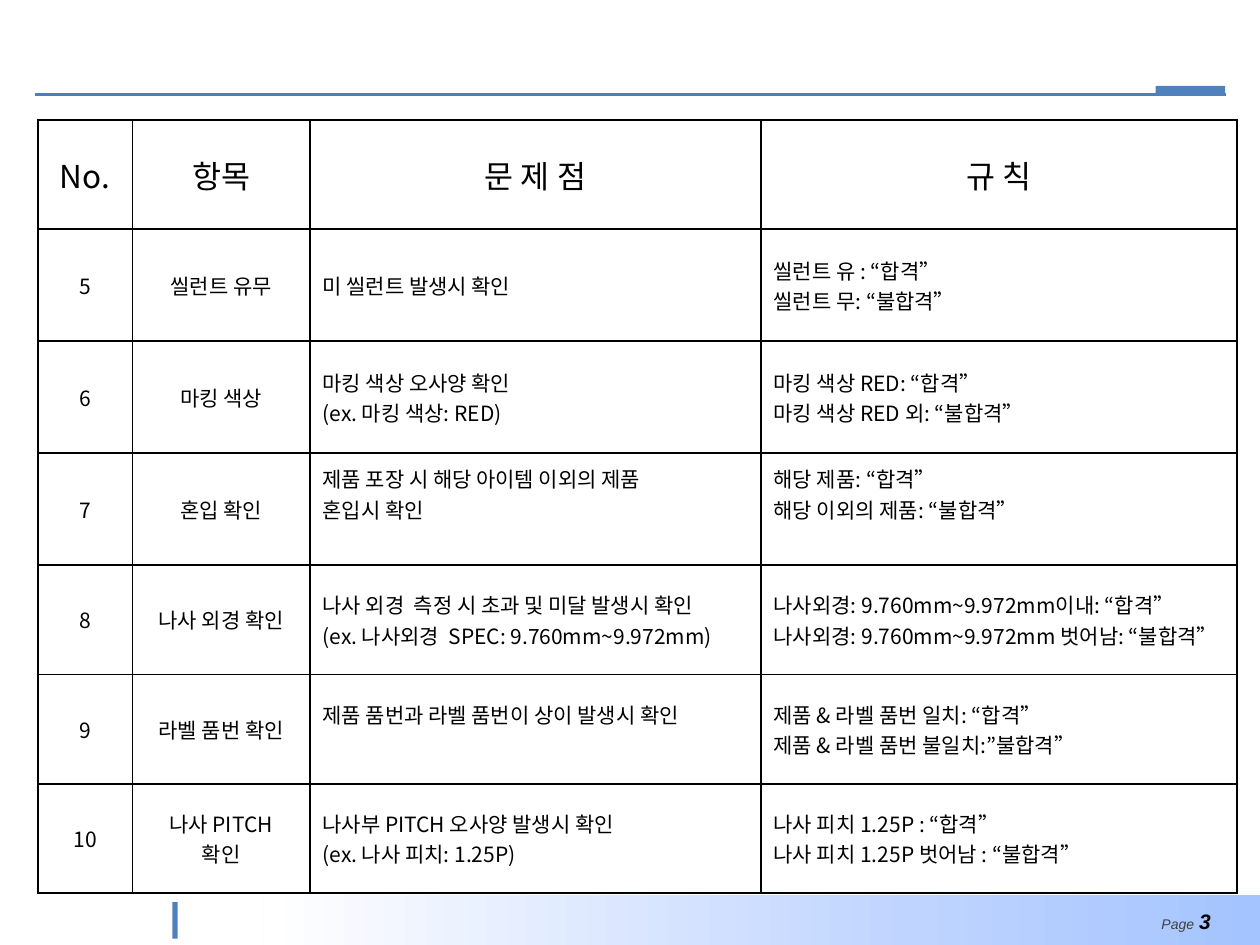
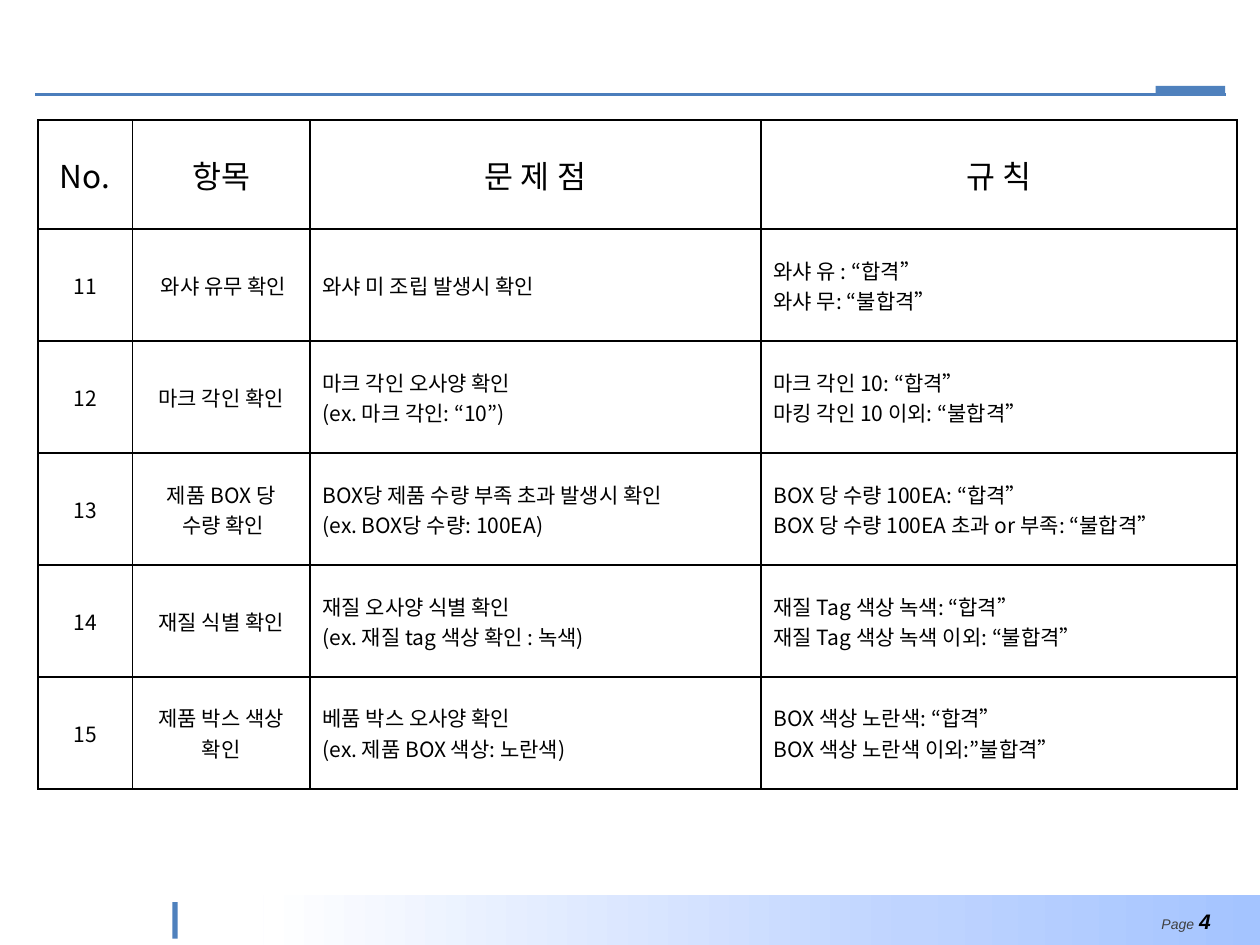
"""Build two pages of an inspection rule table with a shared frame."""
from copy import deepcopy

from lxml import etree
from pptx import Presentation
from pptx.dml.color import RGBColor
from pptx.enum.shapes import MSO_CONNECTOR, MSO_SHAPE
from pptx.enum.text import MSO_ANCHOR, PP_ALIGN
from pptx.oxml.ns import qn
from pptx.util import Pt

RECTANGLE, STRAIGHT = MSO_SHAPE.RECTANGLE, MSO_CONNECTOR.STRAIGHT
MIDDLE = MSO_ANCHOR.MIDDLE
LEFT, CENTER, RIGHT = PP_ALIGN.LEFT, PP_ALIGN.CENTER, PP_ALIGN.RIGHT

COLORS = {
    "accent": "4F81BD", "rule": "4B7EBC", "ink": "000000", "label": "404040",
    "band_dark": "A4C4FF", "band_mid": "BFD4FF", "band_light": "FFFFFF",
}
BAND_STOPS = [(0, "band_dark"), (0.35, "band_mid"), (1, "band_light")]
TABLE_FONT, FOOTER_FONT = "Noto Sans CJK KR", "Arial"

HEADER = ("No.", "항목", "문 제 점", "규 칙")
COLUMN_WIDTHS = (54, 101.5, 257.8, 272.1)
COLUMN_ALIGNS = (CENTER, CENTER, LEFT, LEFT)
TABLE_LEFT, TABLE_TOP = 21.6, 68.5
SHORT_ROW, TALL_ROW = 62.5, 64
LINE_HEIGHT = 17.4

PAGES = [
    {
        "number": 3,
        "row_heights": [SHORT_ROW] + [TALL_ROW] * 3 + [SHORT_ROW] * 3,
        "raised_cells": {(3, 2), (3, 3), (5, 2)},
        "checks": [
            ("5", "씰런트 유무", "미 씰런트 발생시 확인",
             "씰런트 유 : “합격”\n씰런트 무: “불합격”"),
            ("6", "마킹 색상", "마킹 색상 오사양 확인\v(ex. 마킹 색상: RED)",
             "마킹 색상 RED: “합격”\n마킹 색상 RED 외: “불합격”"),
            ("7", "혼입 확인", "제품 포장 시 해당 아이템 이외의 제품\n혼입시 확인",
             "해당 제품: “합격”\n해당 이외의 제품: “불합격”"),
            ("8", "나사 외경 확인",
             "나사 외경  측정 시 초과 및 미달 발생시 확인\n"
             "(ex. 나사외경  SPEC: 9.760mm~9.972mm)",
             "나사외경: 9.760mm~9.972mm이내: “합격”\n"
             "나사외경: 9.760mm~9.972mm 벗어남: “불합격”"),
            ("9", "라벨 품번 확인", "제품 품번과 라벨 품번이 상이 발생시 확인",
             "제품 & 라벨 품번 일치: “합격”\n제품 & 라벨 품번 불일치:”불합격”"),
            ("10", "나사 PITCH\n확인",
             "나사부 PITCH 오사양 발생시 확인\n(ex. 나사 피치: 1.25P)",
             "나사 피치 1.25P : “합격”\n나사 피치 1.25P 벗어남 : “불합격”"),
        ],
    },
    {
        "number": 4,
        "row_heights": [SHORT_ROW] + [TALL_ROW] * 5,
        "raised_cells": set(),
        "checks": [
            ("11", " 와샤 유무 확인", "와샤 미 조립 발생시 확인",
             "와샤 유 : “합격”\n와샤 무: “불합격”"),
            ("12", "마크 각인 확인", "마크 각인 오사양 확인\v(ex. 마크 각인: “10”)",
             "마크 각인 10: “합격”\n마킹 각인 10 이외: “불합격”"),
            ("13", "제품 BOX 당\n 수량 확인",
             "BOX당 제품 수량 부족 초과 발생시 확인\n(ex. BOX당 수량: 100EA)",
             "BOX 당 수량 100EA: “합격”\n"
             "BOX 당 수량 100EA 초과 or 부족: “불합격”"),
            ("14", "재질 식별 확인",
             "재질 오사양 식별 확인\n(ex. 재질 tag 색상 확인 : 녹색)",
             "재질 Tag 색상 녹색: “합격”\n재질 Tag 색상 녹색 이외: “불합격”"),
            ("15", "제품 박스 색상\n확인",
             "베품 박스 오사양 확인\n(ex. 제품 BOX 색상: 노란색)",
             "BOX 색상 노란색: “합격”\nBOX 색상 노란색 이외:”불합격”"),
        ],
    },
]


def rgb(name):
    return RGBColor.from_string(COLORS[name])


def add_bar(slide, left, top, width, height):
    bar = slide.shapes.add_shape(RECTANGLE, Pt(left), Pt(top), Pt(width), Pt(height))
    bar.shadow.inherit = False
    bar.line.fill.background()
    bar.fill.solid()
    bar.fill.fore_color.rgb = rgb("accent")
    return bar


def add_footer_band(slide):
    band = add_bar(slide, 150.5, 511.6, 569.5, 28.4)
    band.fill.gradient()
    band.fill.gradient_angle = 180
    stop_list = band._element.spPr.find(".//" + qn("a:gsLst"))
    stop_list.insert(1, deepcopy(stop_list[0]))
    for stop, (position, color) in zip(band.fill.gradient_stops, BAND_STOPS):
        stop.position = position
        stop.color.rgb = rgb(color)


def add_page_number(slide, number):
    box = slide.shapes.add_textbox(Pt(626.4), Pt(514.8), Pt(73.4), Pt(23))
    frame = box.text_frame
    frame.word_wrap = True
    frame.vertical_anchor = MIDDLE
    frame.margin_left = frame.margin_right = Pt(7.9)
    frame.margin_top = frame.margin_bottom = Pt(4.3)
    paragraph = frame.paragraphs[0]
    paragraph.alignment = RIGHT
    parts = [("Page", 8, "label", False), (" ", 10, "label", False),
             (str(number), 12, "ink", True)]
    for text, size, color, bold in parts:
        run = paragraph.add_run()
        run.text = text
        run.font.name = FOOTER_FONT
        run.font.size = Pt(size)
        run.font.color.rgb = rgb(color)
        run.font.bold = bold
        run.font.italic = True


def add_frame(slide, number):
    add_footer_band(slide)
    add_bar(slide, 98.6, 515.5, 3, 20.9)
    rule = slide.shapes.add_connector(STRAIGHT, Pt(20.2), Pt(54), Pt(700.3), Pt(54))
    rule.line.color.rgb = rgb("rule")
    rule.line.width = Pt(2.25)
    etree.SubElement(rule._element.spPr, qn("a:effectLst"))
    add_bar(slide, 660.4, 49, 39.8, 5.8)
    add_page_number(slide, number)


def add_borders(cell):
    properties = cell._tc.get_or_add_tcPr()
    for index, side in enumerate(("lnL", "lnR", "lnT", "lnB")):
        border = etree.Element(qn("a:" + side), w=str(Pt(1)))
        fill = etree.SubElement(border, qn("a:solidFill"))
        etree.SubElement(fill, qn("a:srgbClr"), val=COLORS["ink"])
        properties.insert(index, border)


def fill_cell(cell, text, size, align, raised):
    cell.text_frame.text = text
    cell.vertical_anchor = MIDDLE
    cell.fill.background()
    add_borders(cell)
    if raised:
        cell.margin_bottom = Pt(3.6 + LINE_HEIGHT)
    for paragraph in cell.text_frame.paragraphs:
        paragraph.alignment = align
        paragraph.font.name = TABLE_FONT
        paragraph.font.size = Pt(size)
        paragraph.font.color.rgb = rgb("ink")
        defaults = paragraph._p.pPr.find(qn("a:defRPr"))
        etree.SubElement(defaults, qn("a:ea"), typeface=TABLE_FONT)


def add_check_table(slide, page):
    rows = [HEADER] + page["checks"]
    heights = page["row_heights"]
    table = slide.shapes.add_table(
        len(rows), len(HEADER), Pt(TABLE_LEFT), Pt(TABLE_TOP),
        Pt(sum(COLUMN_WIDTHS)), Pt(sum(heights))).table
    table.first_row = table.horz_banding = False
    for column, width in zip(table.columns, COLUMN_WIDTHS):
        column.width = Pt(width)
    for row, height in zip(table.rows, heights):
        row.height = Pt(height)
    for r, texts in enumerate(rows):
        for c, text in enumerate(texts):
            size, align = (12, COLUMN_ALIGNS[c]) if r else (18, CENTER)
            fill_cell(table.cell(r, c), text, size, align,
                      (r, c) in page["raised_cells"])


deck = Presentation()
deck.slide_width, deck.slide_height = Pt(720), Pt(540)
for page in PAGES:
    slide = deck.slides.add_slide(deck.slide_layouts[6])
    add_frame(slide, page["number"])
    add_check_table(slide, page)
deck.save("out.pptx")
